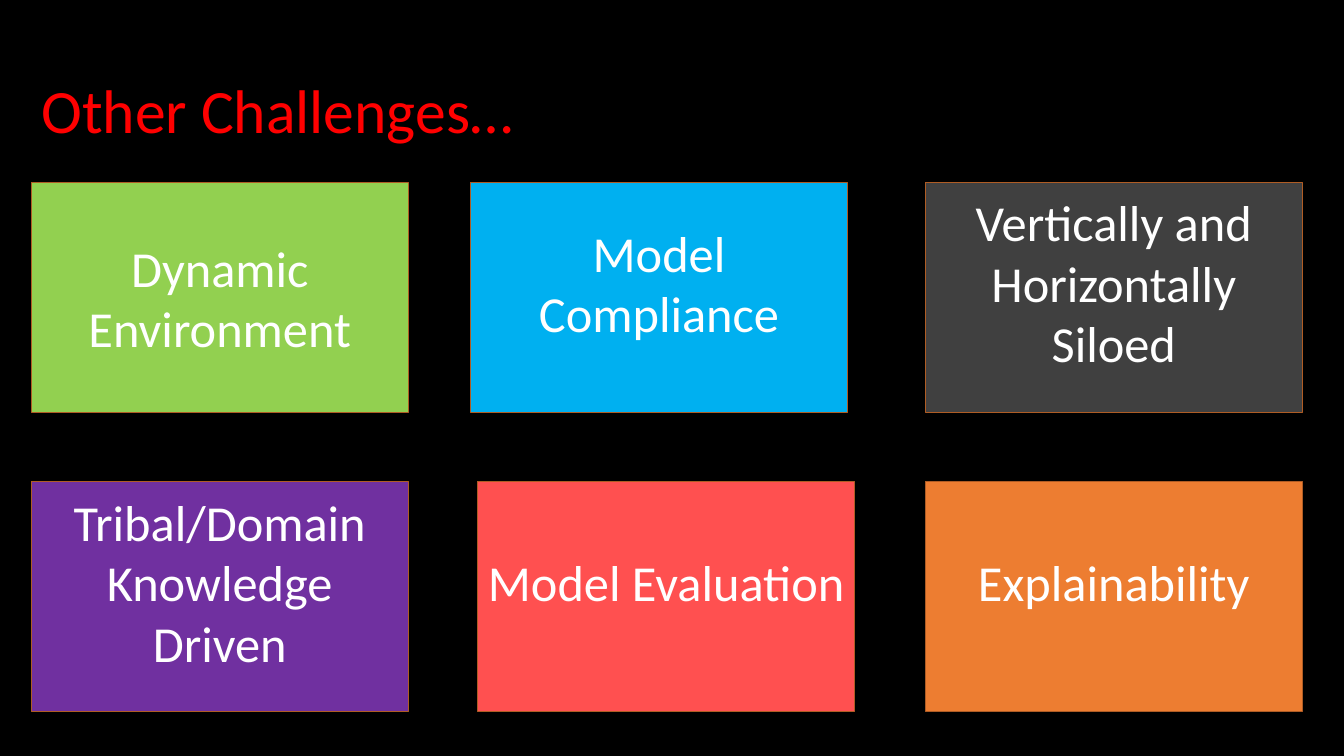
from pptx import Presentation
from pptx.dml.color import RGBColor
from pptx.enum.shapes import MSO_SHAPE
from pptx.enum.text import MSO_ANCHOR, MSO_AUTO_SIZE, PP_ALIGN
from pptx.util import Cm, Pt

RECT = MSO_SHAPE.RECTANGLE
MIDDLE = MSO_ANCHOR.MIDDLE
NO_FIT = MSO_AUTO_SIZE.NONE
LEFT, CENTER = PP_ALIGN.LEFT, PP_ALIGN.CENTER

BLACK = RGBColor(0x00, 0x00, 0x00)
WHITE = RGBColor(0xFF, 0xFF, 0xFF)
RED = RGBColor(0xFF, 0x00, 0x00)
GREEN = RGBColor(0x92, 0xD0, 0x50)
BLUE = RGBColor(0x00, 0xB0, 0xF0)
GREY = RGBColor(0x40, 0x40, 0x40)
PURPLE = RGBColor(0x70, 0x30, 0xA0)
CORAL = RGBColor(0xFF, 0x50, 0x50)
ORANGE = RGBColor(0xED, 0x7D, 0x31)
BROWN = RGBColor(0xAF, 0x5C, 0x24)

FONT = "Calibri"
TITLE = "Other Challenges…"
INSET, RAISED_INSET = 0.13, 0.89
ROWS = [
    (4.6, [
        (0.79, "Dynamic Environment", GREEN, INSET),
        (11.86, "Model Compliance", BLUE, RAISED_INSET),
        (23.32, "Vertically and Horizontally Siloed", GREY, RAISED_INSET),
    ]),
    (12.14, [
        (0.79, "Tribal/Domain Knowledge Driven", PURPLE, RAISED_INSET),
        (12.04, "Model Evaluation", CORAL, RAISED_INSET),
        (23.32, "Explainability", ORANGE, RAISED_INSET),
    ]),
]
CARD_W, CARD_H = 9.5, 5.79


def write(tf, text, size, color, align):
    tf.word_wrap = True
    tf.auto_size = NO_FIT
    tf.vertical_anchor = MIDDLE
    p = tf.paragraphs[0]
    p.alignment = align
    r = p.add_run()
    r.text = text
    r.font.name = FONT
    r.font.size = Pt(size)
    r.font.color.rgb = color
    return p


def add_card(s, left, top, text, color, bottom_inset):
    sp = s.shapes.add_shape(RECT, Cm(left), Cm(top), Cm(CARD_W), Cm(CARD_H))
    sp.shadow.inherit = False
    sp.fill.solid()
    sp.fill.fore_color.rgb = color
    sp.line.color.rgb = BROWN
    sp.line.width = Pt(1)
    sp.text_frame.margin_bottom = Cm(bottom_inset)
    write(sp.text_frame, text, 36, WHITE, CENTER)


def main():
    prs = Presentation()
    prs.slide_width, prs.slide_height = Cm(33.87), Cm(19.05)
    s = prs.slides.add_slide(prs.slide_layouts[5])
    s.background.fill.solid()
    s.background.fill.fore_color.rgb = BLACK

    title = s.shapes.title
    title.left, title.top = Cm(0.79), Cm(1.02)
    title.width, title.height = Cm(29.21), Cm(3.68)
    p = write(title.text_frame, TITLE, 44, RED, LEFT)
    p.line_spacing = 0.9

    for top, cards in ROWS:
        for left, text, color, bottom_inset in cards:
            add_card(s, left, top, text, color, bottom_inset)

    prs.save("out.pptx")


if __name__ == "__main__":
    main()
